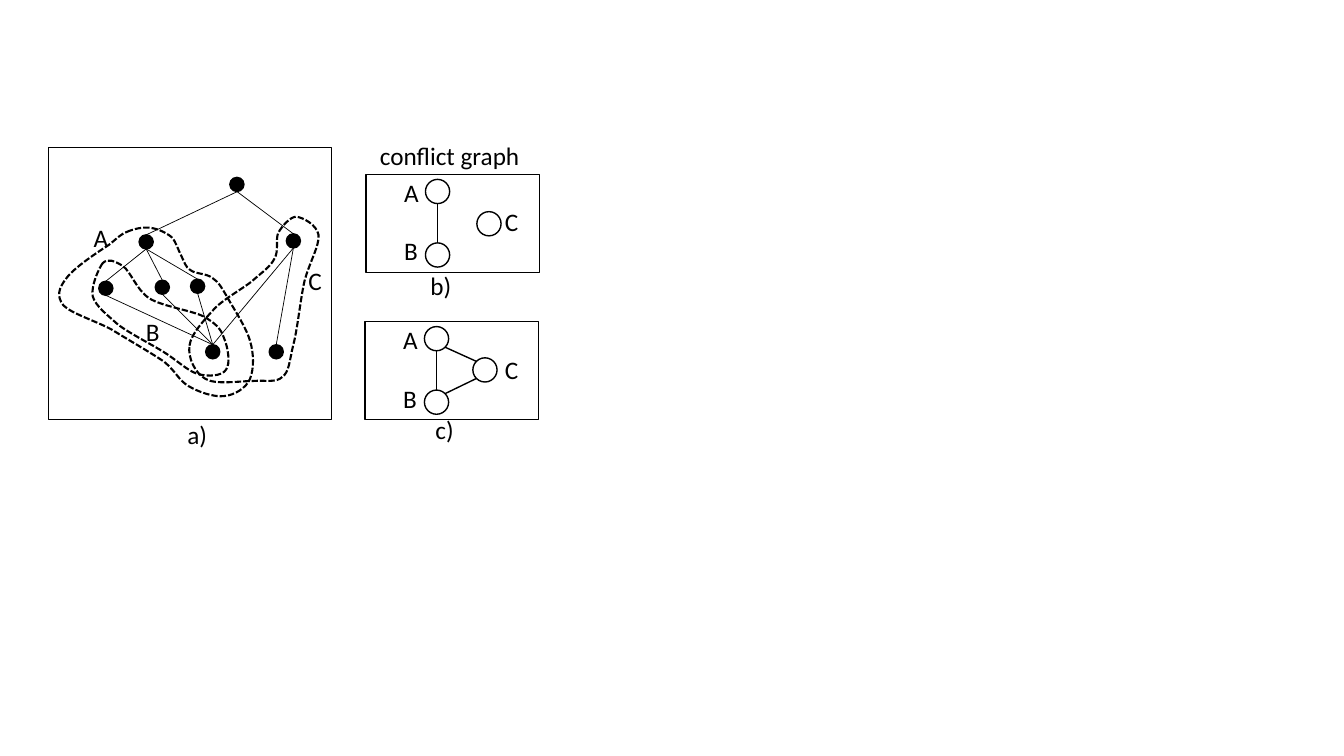
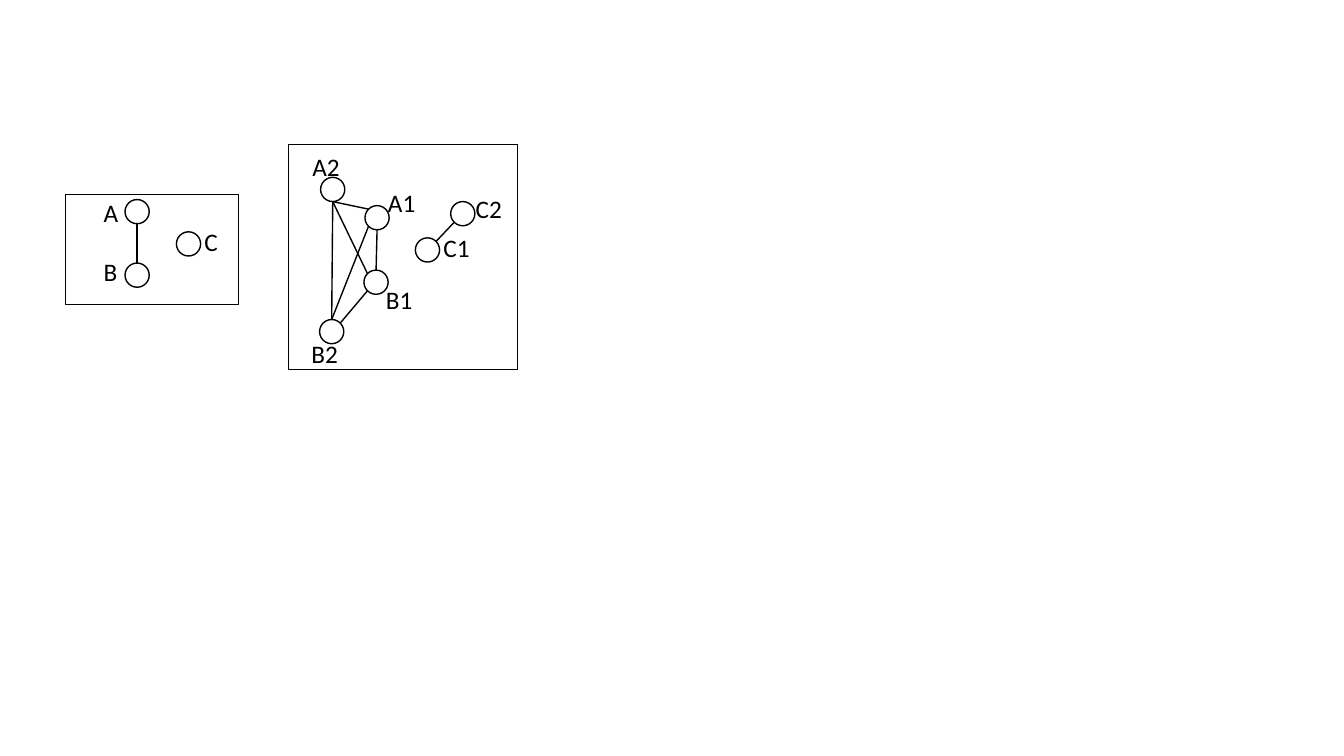
import math

import lxml.etree
import pptx
import pptx.dml.color
import pptx.enum.dml
import pptx.enum.shapes
import pptx.oxml.ns
import pptx.util

Inches = pptx.util.Inches
Pt = pptx.util.Pt
qn = pptx.oxml.ns.qn
SHAPES = pptx.enum.shapes.MSO_SHAPE

COLORS = {"ink": "000000"}
TEXT_FORMAT = {"name": "Calibri", "size": Pt(18)}
LABEL_WIDTHS = {1: 0.26, 2: 0.5}
FRAME_WEIGHT = 0.75
LABEL_HEIGHT = 0.4

# Compass angles in degrees, clockwise from east because y grows downwards
ANGLES = {"SE": 45, "S": 90, "SW": 135, "NW": 225, "N": 270, "NE": 315}

RING = {"size": 0.24, "fill": None, "edge_weight": 1}
DOT = {"size": 0.14, "fill": "ink", "edge_weight": 0.5}

# Nodes: name -> (centre, label corner), measured from the frame's corner
TRIPLE = {
    "A": ((0.71, 0.17), (0.28, -0.02)),
    "B": ((0.71, 0.80), (0.28, 0.56)),
    "C": ((1.22, 0.49), (1.28, 0.27)),
}
CONNECTED_TRIPLE = {**TRIPLE, "C": ((1.19, 0.48), (1.29, 0.28))}
SPLIT = {
    "A1": ((0.88, 0.73), (0.89, 0.38)),
    "A2": ((0.44, 0.45), (0.14, 0.02)),
    "B1": ((0.87, 1.37), (0.87, 1.34)),
    "B2": ((0.43, 1.86), (0.13, 1.88)),
    "C1": ((1.38, 1.05), (1.44, 0.83)),
    "C2": ((1.73, 0.69), (1.76, 0.44)),
}
TREE = {
    "root": ((1.87, 0.37), None),
    "left": ((0.97, 0.94), None),
    "right": ((2.43, 0.93), None),
    "child 1": ((0.57, 1.40), None),
    "child 2": ((1.13, 1.39), None),
    "child 3": ((1.48, 1.38), None),
    "shared": ((1.63, 2.03), None),
    "leaf": ((2.26, 2.03), None),
}

# Edges: (from node, its side, to node, its side)
A_TO_B = [("A", "S", "B", "N")]
TRIANGLE = A_TO_B + [("A", "SE", "C", "NW"), ("C", "SW", "B", "NE")]
SPLIT_EDGES = [
    ("A1", "S", "B1", "N"), ("A2", "S", "A1", "NW"), ("C2", "SW", "C1", "NE"),
    ("B1", "SW", "B2", "NE"), ("A2", "S", "B2", "N"), ("A1", "SW", "B2", "N"),
    ("A2", "S", "B1", "NW"),
]
CHILDREN = ["child 1", "child 2", "child 3"]
TREE_EDGES = [("root", "SE", "left", "N")] + [
    (parent, "S", child, "N")
    for parent, child in [("root", "right"), ("right", "shared"), ("right", "leaf")]
    + [("left", name) for name in CHILDREN]
    + [(name, "shared") for name in CHILDREN]
]

# Graphs: (frame left, top, width, height), nodes, edges, style
CONFLICT_PAGE = [
    ((0.48, 1.46, 2.81, 2.70), TREE, TREE_EDGES, DOT),
    ((3.63, 1.73, 1.72, 0.97), TRIPLE, A_TO_B, RING),
    ((3.62, 3.19, 1.72, 0.97), CONNECTED_TRIPLE, TRIANGLE, RING),
]
SPLIT_PAGE = [
    ((0.65, 1.93, 1.72, 1.09), TRIPLE, A_TO_B, RING),
    ((2.86, 1.43, 2.27, 2.24), SPLIT, SPLIT_EDGES, RING),
]
# Captions: text, left, top, width
CAPTIONS = [
    ("a)", 1.76, 4.11, 0.5), ("b)", 4.17, 2.63, 0.5), ("c)", 4.22, 4.06, 0.5),
    ("conflict graph", 3.67, 1.34, 1.8),
]

# Regions: name, label corner, then a start point and Bézier triples
REGIONS = [
    ("A", (0.83, 2.16), [
        (1.26, 2.30),
        (1.33, 2.27), (1.42, 2.25), (1.49, 2.26),
        (1.57, 2.27), (1.65, 2.31), (1.70, 2.35),
        (1.75, 2.40), (1.77, 2.49), (1.80, 2.54),
        (1.83, 2.60), (1.84, 2.65), (1.89, 2.68),
        (1.94, 2.72), (2.05, 2.71), (2.11, 2.76),
        (2.17, 2.80), (2.19, 2.84), (2.25, 2.94),
        (2.31, 3.05), (2.44, 3.24), (2.48, 3.38),
        (2.52, 3.51), (2.52, 3.66), (2.48, 3.76),
        (2.44, 3.85), (2.33, 3.92), (2.22, 3.93),
        (2.12, 3.94), (1.97, 3.89), (1.87, 3.83),
        (1.77, 3.77), (1.75, 3.69), (1.63, 3.59),
        (1.50, 3.50), (1.27, 3.37), (1.11, 3.27),
        (0.94, 3.18), (0.71, 3.11), (0.63, 3.03),
        (0.56, 2.94), (0.58, 2.86), (0.66, 2.76),
        (0.73, 2.66), (0.97, 2.50), (1.08, 2.43),
        (1.18, 2.35), (1.19, 2.33), (1.26, 2.30),
    ]),
    ("B", (1.35, 3.09), [
        (1.02, 2.61),
        (0.98, 2.66), (0.90, 2.84), (0.92, 2.94),
        (0.95, 3.04), (1.06, 3.12), (1.17, 3.22),
        (1.29, 3.31), (1.49, 3.41), (1.62, 3.49),
        (1.75, 3.57), (1.86, 3.68), (1.96, 3.71),
        (2.07, 3.74), (2.20, 3.73), (2.24, 3.67),
        (2.29, 3.61), (2.26, 3.44), (2.22, 3.35),
        (2.19, 3.26), (2.14, 3.21), (2.02, 3.14),
        (1.90, 3.08), (1.61, 3.04), (1.48, 2.96),
        (1.35, 2.87), (1.30, 2.70), (1.22, 2.64),
        (1.14, 2.59), (1.07, 2.56), (1.02, 2.61),
    ]),
    ("C", (2.96, 2.58), [
        (1.88, 3.43),
        (1.89, 3.32), (2.03, 3.17), (2.13, 3.06),
        (2.23, 2.96), (2.40, 2.87), (2.50, 2.79),
        (2.60, 2.70), (2.68, 2.65), (2.72, 2.57),
        (2.77, 2.49), (2.73, 2.38), (2.76, 2.31),
        (2.80, 2.24), (2.88, 2.15), (2.94, 2.15),
        (3.01, 2.16), (3.14, 2.23), (3.16, 2.33),
        (3.17, 2.44), (3.07, 2.60), (3.02, 2.79),
        (2.98, 2.97), (2.95, 3.27), (2.91, 3.42),
        (2.87, 3.58), (2.87, 3.69), (2.80, 3.74),
        (2.74, 3.80), (2.64, 3.77), (2.51, 3.78),
        (2.38, 3.78), (2.14, 3.82), (2.04, 3.76),
        (1.94, 3.71), (1.86, 3.55), (1.88, 3.43),
    ]),
]


def color(name):
    return pptx.dml.color.RGBColor.from_string(COLORS[name])


def style_shape(shape, weight, fill=None):
    shape.shadow.inherit = False
    if fill:
        shape.fill.solid()
        shape.fill.fore_color.rgb = color(fill)
    else:
        shape.fill.background()
    style_line(shape, weight)


def style_line(shape, weight):
    shape.line.color.rgb = color("ink")
    shape.line.width = Pt(weight)


def add_label(shapes, text, left, top, width):
    box = shapes.add_textbox(*map(Inches, (left, top, width, LABEL_HEIGHT)))
    box.text_frame.word_wrap = True
    span = box.text_frame.paragraphs[0].add_run()
    span.text = text
    for attribute, value in TEXT_FORMAT.items():
        setattr(span.font, attribute, value)
    span.font.color.rgb = color("ink")


def add_edge(shapes, start, end, weight):
    edge = shapes.add_connector(
        pptx.enum.shapes.MSO_CONNECTOR.STRAIGHT, *map(Inches, start + end))
    style_line(edge, weight)
    lxml.etree.SubElement(edge._element.spPr, qn("a:effectLst"))


def add_graph(page, frame, nodes, edges, style):
    shapes = page.shapes.add_group_shape().shapes
    left, top = frame[:2]
    size = style["size"]

    def rim(name, side):
        """Point on a node's circle in a compass direction."""
        (x, y), _ = nodes[name]
        angle = math.radians(ANGLES[side])
        return (left + x + size / 2 * math.cos(angle),
                top + y + size / 2 * math.sin(angle))

    border = shapes.add_shape(SHAPES.RECTANGLE, *map(Inches, frame))
    style_shape(border, FRAME_WEIGHT)
    for start, start_side, end, end_side in edges:
        add_edge(shapes, rim(start, start_side), rim(end, end_side), style["edge_weight"])
    for name, ((x, y), label) in nodes.items():
        corner = (left + x - size / 2, top + y - size / 2)
        node = shapes.add_shape(SHAPES.OVAL, *map(Inches, corner + (size, size)))
        style_shape(node, 1, style["fill"])
        if label:
            add_label(shapes, name, left + label[0], top + label[1], LABEL_WIDTHS[len(name)])


def add_region(page, points):
    """Dashed closed outline; line segments are merged by threes into curves."""
    start, *rest = [(Inches(x), Inches(y)) for x, y in points]
    builder = page.shapes.build_freeform(*start)
    builder.add_line_segments(rest, close=True)
    outline = builder.convert_to_shape()
    style_shape(outline, 1.5)
    outline.line.dash_style = pptx.enum.dml.MSO_LINE.SQUARE_DOT
    segments = list(outline._element.iter(qn("a:lnTo")))
    for first in range(0, len(segments), 3):
        triple = segments[first:first + 3]
        curve = lxml.etree.Element(qn("a:cubicBezTo"))
        triple[0].addprevious(curve)
        for segment in triple:
            curve.append(segment[0])
            segment.getparent().remove(segment)


def main():
    deck = pptx.Presentation()
    deck.slide_width, deck.slide_height = Inches(13.33), Inches(7.5)
    pages = []
    for graphs in (CONFLICT_PAGE, SPLIT_PAGE):
        page = deck.slides.add_slide(deck.slide_layouts[6])
        for graph in graphs:
            add_graph(page, *graph)
        pages.append(page)

    conflict_page = pages[0]
    for name, corner, points in REGIONS:
        add_region(conflict_page, points)
        add_label(conflict_page.shapes, name, *corner, LABEL_WIDTHS[len(name)])
    for caption in CAPTIONS:
        add_label(conflict_page.shapes, *caption)
    deck.save("out.pptx")


if __name__ == "__main__":
    main()
